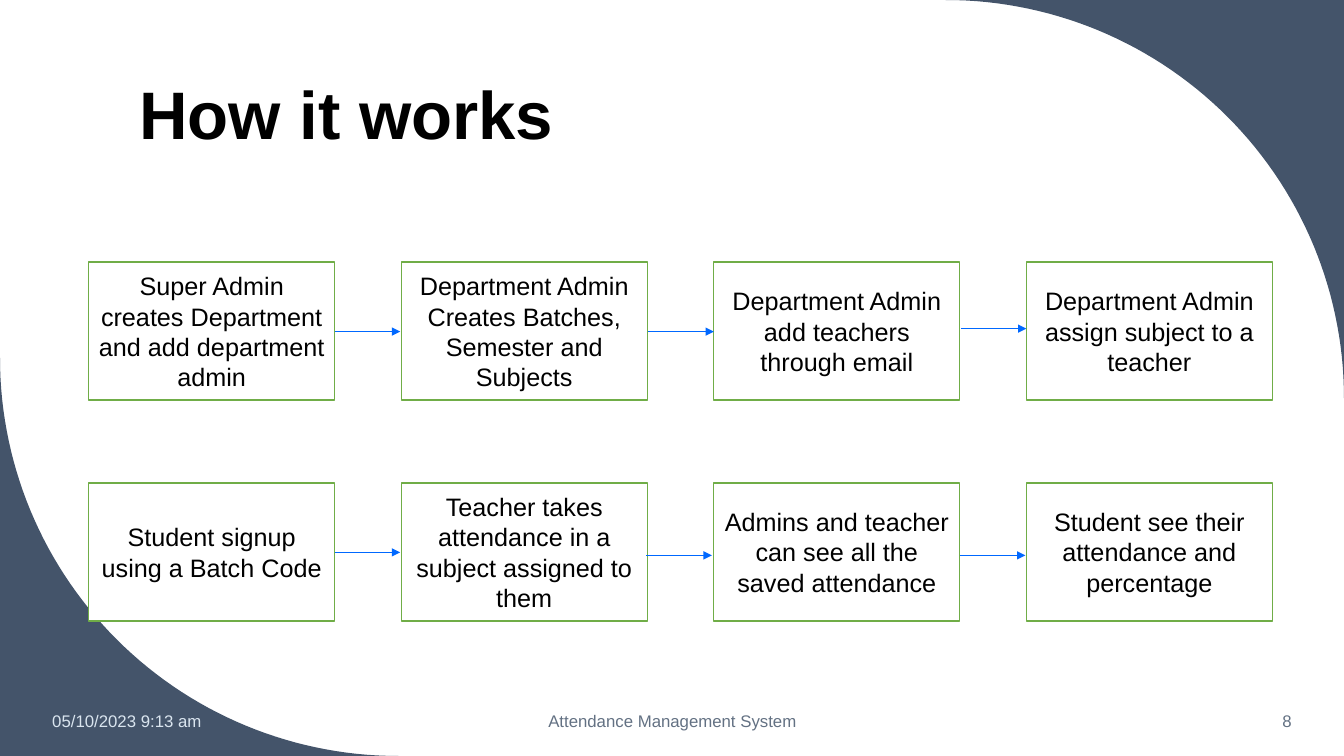
from math import cos, pi, sin

from lxml import etree
from pptx import Presentation
from pptx.dml.color import RGBColor
from pptx.enum import shapes, text
from pptx.oxml import ns
from pptx.util import Inches, Pt

COLORS = {"slate": "44546A", "white": "FFFFFF", "black": "000000",
          "green": "70AD47", "blue": "0068FF", "pale": "DAE5EF", "grey": "637183"}
FONT = "Arial"
ALIGN = text.PP_ALIGN

# Step grid: left of the first box, column and row pitch, box size
LEFT, PITCH, BOX_W, BOX_H = 0.88, 3.1, 2.44, 1.37
ROWS = [
    # top of the row, step texts, (left, height) of the arrows
    (2.6, ["Super Admin creates Department and add department admin",
           "Department Admin Creates Batches, Semester and Subjects",
           "Department Admin add teachers through email",
           "Department Admin assign subject to a teacher"],
     [(3.32, 3.29), (6.43, 3.29), (9.53, 3.26)]),
    (4.79, ["Student signup using a Batch Code",
            "Teacher takes attendance in a subject assigned to them",
            "Admins and teacher can see all the saved attendance",
            "Student see their attendance and percentage"],
     [(3.32, 5.48), (6.41, 5.51), (9.52, 5.51)]),
]
ARROW_LENGTH = 0.65


def rgb(name):
    return RGBColor.from_string(COLORS[name])


def write(sp, words, size, color, align, anchor=text.MSO_ANCHOR.MIDDLE, bold=False):
    tf = sp.text_frame
    tf.word_wrap = True
    tf.auto_size = text.MSO_AUTO_SIZE.NONE
    tf.vertical_anchor = anchor
    p = tf.paragraphs[0]
    p.alignment = align
    r = p.add_run()
    r.text = words
    for name, value in {"name": FONT, "size": Pt(size), "bold": bold}.items():
        setattr(r.font, name, value)
    r.font.color.rgb = rgb(color)
    return p


def add_corner(s, cx, cy, side_x, side_y, radius=3.95, steps=60):
    """Fill the area between a quarter circle and its slide corner."""
    arc = [(Inches(cx + side_x * radius * cos(i * pi / 2 / steps)),
            Inches(cy + side_y * radius * sin(i * pi / 2 / steps)))
           for i in range(steps + 1)]
    corner = (Inches(cx + side_x * radius), Inches(cy + side_y * radius))
    builder = s.shapes.build_freeform(*corner)
    builder.add_line_segments(arc, close=True)
    sp = builder.convert_to_shape()
    sp.shadow.inherit = False
    sp.fill.solid()
    sp.fill.fore_color.rgb = rgb("slate")
    sp.line.fill.background()


def add_title(s, words):
    sp = s.shapes.title
    place = {"left": 1.28, "top": -0.14, "width": 10.69, "height": 1.72}
    for name, value in place.items():
        setattr(sp, name, Inches(value))
    p = write(sp, words, 48, "black", ALIGN.LEFT, text.MSO_ANCHOR.BOTTOM, True)
    p.line_spacing = 0.9


def add_footer(s, left, width, words, color, align):
    sp = s.shapes.add_textbox(Inches(left), Inches(6.95), Inches(width), Inches(0.4))
    write(sp, words, 12, color, align)


def add_step(s, left, top, words):
    sp = s.shapes.add_shape(shapes.MSO_SHAPE.RECTANGLE, Inches(left), Inches(top),
                            Inches(BOX_W), Inches(BOX_H))
    sp.shadow.inherit = False
    sp.fill.solid()
    sp.fill.fore_color.rgb = rgb("white")
    sp.line.color.rgb = rgb("green")
    sp.line.width = Pt(1)
    write(sp, words, 18, "black", ALIGN.CENTER)


def add_arrow(s, left, y):
    line = s.shapes.add_connector(shapes.MSO_CONNECTOR.STRAIGHT, Inches(left), Inches(y),
                                  Inches(left + ARROW_LENGTH), Inches(y))
    line.line.color.rgb = rgb("blue")
    line.line.width = Pt(0.5)
    etree.SubElement(line.line._get_or_add_ln(), ns.qn("a:tailEnd"), type="triangle")
    etree.SubElement(line._element.spPr, ns.qn("a:effectLst"))


def main():
    prs = Presentation()
    prs.slide_width, prs.slide_height = Inches(13.33), Inches(7.5)
    s = prs.slides.add_slide(prs.slide_layouts[5])

    # Curved corners, top right and bottom left
    add_corner(s, 9.38, 3.95, 1, -1)
    add_corner(s, 3.95, 3.55, -1, 1)

    # Title and footer
    add_title(s, "How it works")
    add_footer(s, 0.42, 1.86, "05/10/2023 9:13 am", "pale", ALIGN.LEFT)
    add_footer(s, 4.42, 4.5, "Attendance Management System", "grey", ALIGN.CENTER)
    add_footer(s, 11.1, 1.81, "8", "grey", ALIGN.RIGHT)

    # Process steps and the arrows between them
    for top, steps, arrows in ROWS:
        for col, words in enumerate(steps):
            add_step(s, LEFT + col * PITCH, top, words)
        for left, y in arrows:
            add_arrow(s, left, y)

    prs.save("out.pptx")


if __name__ == "__main__":
    main()
